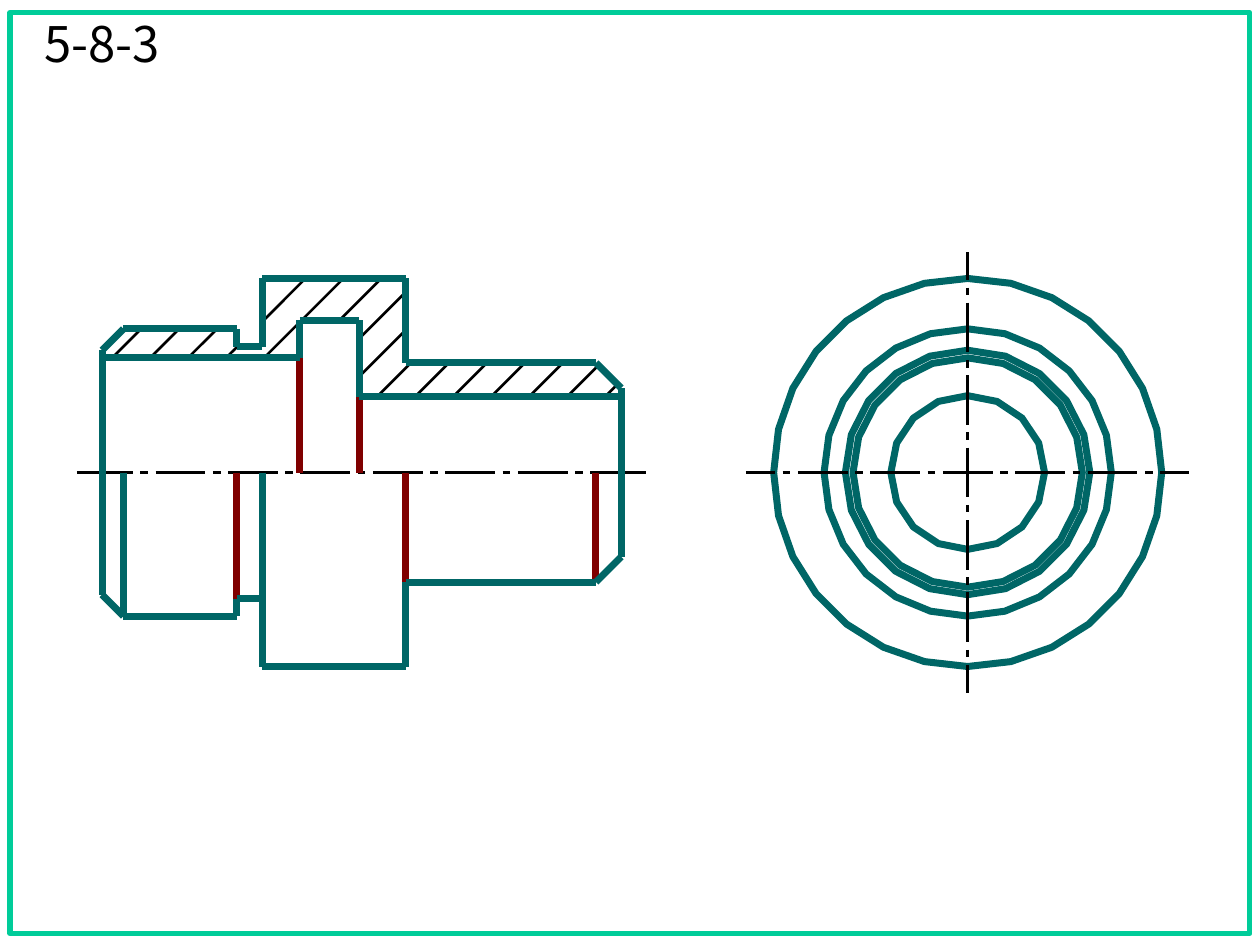
import itertools
import math

import lxml.etree
import pptx
import pptx.dml.color
import pptx.enum.shapes
import pptx.enum.text
import pptx.oxml.ns
import pptx.util

PX = 9144  # 100 px to the inch


class Theme:
    frame = "00CC99"
    solid = "006666"
    edge = "800000"
    ink = "000000"
    font = "Noto Sans CJK SC"
    title = 28
    thin, mid, thick = 1.5, 3, 4


def emu(px):
    return pptx.util.Emu(round(px * PX))


def rgb(color):
    return pptx.dml.color.RGBColor.from_string(color)


def pen(shape, color, width):
    shape.line.color.rgb = rgb(color)
    shape.line.width = pptx.util.Pt(width)


def hollow(shape, color, width):
    shape.shadow.inherit = False
    shape.fill.background()
    pen(shape, color, width)


def write(shape, text, size=Theme.title, color=Theme.ink, font=Theme.font,
          align=pptx.enum.text.PP_ALIGN.CENTER):
    frame = shape.text_frame
    frame.text = text
    frame.word_wrap = True
    frame.auto_size = pptx.enum.text.MSO_AUTO_SIZE.NONE
    frame.vertical_anchor = pptx.enum.text.MSO_ANCHOR.MIDDLE
    para = frame.paragraphs[0]
    para.alignment = align
    para.font.size = pptx.util.Pt(size)
    para.font.name = font
    para.font.color.rgb = rgb(color)


def stroke(slide, box, start, end, color=Theme.solid, width=Theme.thick):
    left, top = box[:2]
    line = slide.shapes.add_connector(
        pptx.enum.shapes.MSO_CONNECTOR.STRAIGHT,
        emu(left + start[0]), emu(top + start[1]),
        emu(left + end[0]), emu(top + end[1]))
    pen(line, color, width)
    lxml.etree.SubElement(line._element.spPr, pptx.oxml.ns.qn("a:effectLst"))


def chain(slide, box, points):
    for start, end in itertools.pairwise(points):
        stroke(slide, box, start, end)


def axis(slide, box, over, dots, level=True):
    """Draw a dash-dot axis through the box, reaching past both its ends."""
    width, height = box[2:]
    size, cross = (width, height / 2) if level else (height, width / 2)
    stops = [-over]
    for i in range(dots):
        dot = size / 2 + (2 * i - dots + 1) * 115 / 4
        stops += [dot - 9, dot - 3, dot + 3, dot + 9]
    stops.append(size + over)
    for start, end in zip(stops[::2], stops[1::2]):
        ends = [(at, cross) if level else (cross, at) for at in (start, end)]
        stroke(slide, box, *ends, color=Theme.ink, width=Theme.thin)


def ring(slide, box, radius, sides):
    """Draw a regular polygon about the middle of the box."""
    left, top, width, height = box
    x, y = left + width / 2, top + height / 2
    turns = [2 * math.pi * i / sides for i in range(sides)]
    points = [(emu(x + radius * math.cos(a)), emu(y + radius * math.sin(a)))
              for a in turns]
    build = slide.shapes.build_freeform(*points[0])
    build.add_line_segments(points[1:], close=True)
    hollow(build.convert_to_shape(), Theme.solid, Theme.thick)


def hatch(slide, box):
    # First and last line number, then low and high y of each band
    bands = [(0, 2, 63, 40), (2, 2, 4, 0), (3, 3, 63, 54), (3, 3, 34, 0),
             (4, 4, 63, 34), (4, 5, 33, 0), (6, 6, 47, 11), (7, 7, 78, 41),
             (8, 12, 94, 67), (13, 13, 94, 69), (14, 14, 94, 84)]
    for first, last, low, high in bands:
        for k in range(first, last + 1):
            base = 71 + 422 * k / 14
            stroke(slide, box, (base - low, low), (base - high, high),
                   Theme.ink, Theme.thin)


def front(slide, box):
    """Half section of the turned piece."""
    height = box[3]
    mid = height / 2
    hatch(slide, box)
    axis(slide, box, 20, 7)

    # Edges seen behind the cut and on the lower half
    for x, start, end in [(157, 63, mid), (204, 94, mid), (107, mid, 255),
                          (241, mid, 241), (392, mid, 241)]:
        stroke(slide, box, (x, start), (x, end), Theme.edge)

    # Outer shape, the same above and below the axis
    neck = [(0, 57), (17, 40), (107, 40), (107, 54), (127, 54)]
    body = [(127, 0), (241, 0), (241, 67), (392, 67), (412, 87)]
    for run in (neck, body):
        chain(slide, box, run)
        chain(slide, box, [(x, height - y) for x, y in run])

    # Upright edges and the bore
    for x, start, end in [(0, 57, 251), (17, mid, 268), (412, 87, 221),
                          (127, 0, 54), (127, mid, height)]:
        stroke(slide, box, (x, start), (x, end))
    chain(slide, box, [(0, 63), (157, 63), (157, 33), (204, 33),
                       (204, 94), (412, 94)])


def side(slide, box):
    """End view with its rings and axes."""
    for radius, sides in [(91, 20), (97, 20), (61, 16), (154, 28), (114, 24)]:
        ring(slide, box, radius, sides)
    axis(slide, box, 21, 6, level=False)
    axis(slide, box, 22, 6)


def place(shape, box):
    shape.left, shape.top, shape.width, shape.height = map(emu, box)


def head(slide, box):
    """Slide title and page frame."""
    left, top = box[:2]
    title = slide.shapes.title
    place(title, (left - 2, top + 3, 150, 42))
    write(title, "5-8-3")
    frame = slide.shapes.add_shape(
        pptx.enum.shapes.MSO_SHAPE.RECTANGLE, *map(emu, box))
    hollow(frame, Theme.frame, Theme.mid)


def main():
    deck = pptx.Presentation()
    deck.slide_width, deck.slide_height = emu(1000), emu(750)
    slide = deck.slides.add_slide(deck.slide_layouts[5])
    head(slide, (8, 10, 984, 731))
    front(slide, (81, 221, 412, 308))
    side(slide, (614, 221, 308, 308))
    deck.save("out.pptx")


if __name__ == "__main__":
    main()
